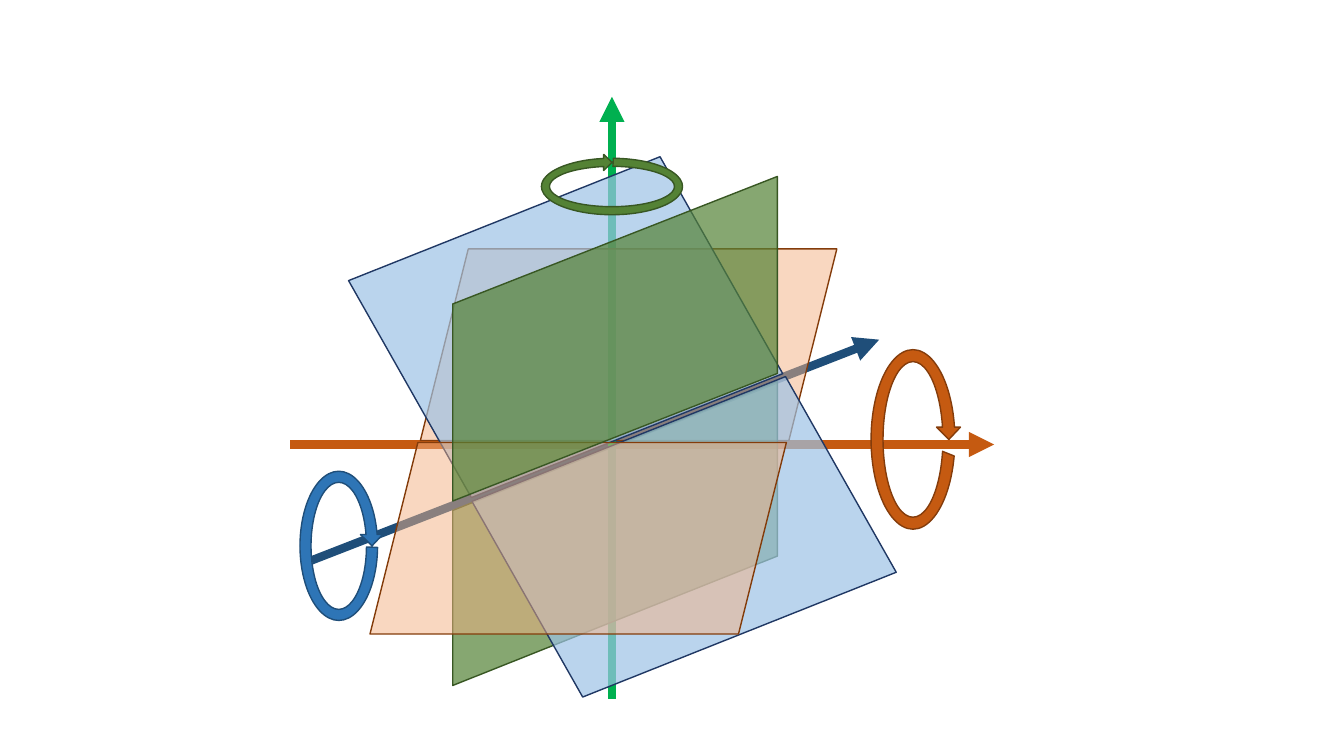
"""Draw three axes with rotation arrows and the tilted planes between them."""
from dataclasses import dataclass

from lxml.etree import SubElement
from pptx import Presentation
from pptx.dml.color import RGBColor
from pptx.enum.shapes import MSO_CONNECTOR, MSO_SHAPE
from pptx.oxml.ns import qn
from pptx.util import Inches, Pt


@dataclass(frozen=True)
class Paint:
    """Fill, outline and opacity in percent."""
    fill: str
    line: str
    opacity: int = 100


@dataclass(frozen=True)
class Theme:
    """Colours and line widths of the slide."""
    x_axis: str = "C55A11"
    y_axis: str = "00B050"
    z_axis: str = "1F4E79"
    x_turn: Paint = Paint("C55A11", "843C0B")
    y_turn: Paint = Paint("548235", "385723")
    z_turn: Paint = Paint("2E75B6", "1F4E79")
    orange_plane: Paint = Paint("F4B183", "843C0B", 50)
    blue_plane: Paint = Paint("9DC3E6", "203864", 70)
    green_plane: Paint = Paint("548235", "385723", 70)
    axis_width: int = 6
    outline_width: int = 1


THEME = Theme()


def add_axis(shapes, start, end, color):
    """Add a thick axis with a triangular head at its end."""
    axis = shapes.add_connector(
        MSO_CONNECTOR.STRAIGHT, *(Inches(value) for value in start + end))
    axis.line.color.rgb = RGBColor.from_string(color)
    axis.line.width = Pt(THEME.axis_width)
    SubElement(axis.line._get_or_add_ln(), qn("a:tailEnd"), type="triangle")
    SubElement(axis._element.spPr, qn("a:effectLst"))


def add_painted(shapes, kind, box, paint, adjustments=(), rotation=0):
    """Add a preset shape with its paint, adjustments and rotation."""
    shape = shapes.add_shape(kind, *(Inches(value) for value in box))
    for index, value in enumerate(adjustments):
        shape.adjustments[index] = value
    shape.rotation = rotation
    shape.shadow.inherit = False
    shape.fill.solid()
    shape.fill.fore_color.rgb = RGBColor.from_string(paint.fill)
    if paint.opacity < 100:
        color = shape._element.spPr.find(qn("a:solidFill"))[0]
        SubElement(color, qn("a:alpha"), val=str(paint.opacity * 1000))
    shape.line.color.rgb = RGBColor.from_string(paint.line)
    shape.line.width = Pt(THEME.outline_width)
    return shape


def add_plane(shapes, box, paint, slant=0.25, rotation=0):
    """Add a parallelogram, mirrored vertically when it is rotated."""
    plane = add_painted(
        shapes, MSO_SHAPE.PARALLELOGRAM, box, paint, (slant,), rotation)
    if rotation:
        plane._element.spPr.get_or_add_xfrm().set("flipV", "1")


def add_turn(shapes, box, paint, start_angle, rotation=0):
    """Add a circular arrow that shows the turn around an axis."""
    adjustments = (0.125, 11.423, 204.577, start_angle, 0.125)
    add_painted(
        shapes, MSO_SHAPE.CIRCULAR_ARROW, box, paint, adjustments, rotation)


def main():
    """Build and save the slide."""
    presentation = Presentation()
    presentation.slide_width = Inches(13.33)
    presentation.slide_height = Inches(7.5)
    slide = presentation.slides.add_slide(presentation.slide_layouts[6])
    shapes = slide.shapes.add_group_shape().shapes

    add_axis(shapes, (2.88, 4.41), (9.86, 4.41), THEME.x_axis)
    add_axis(shapes, (3.09, 5.56), (8.72, 3.37), THEME.z_axis)
    add_axis(shapes, (6.07, 6.93), (6.07, 0.96), THEME.y_axis)

    add_turn(shapes, (2.92, 4.62, 0.88, 1.59), THEME.z_turn, 1.438)
    add_plane(shapes, (4.17, 2.47, 4.13, 1.9), THEME.orange_plane)
    add_plane(shapes, (3.78, 2.02, 3.66, 2.45), THEME.blue_plane, 0.137, 158.3)
    add_turn(shapes, (8.58, 3.41, 0.95, 1.9), THEME.x_turn, 13.156)
    add_plane(shapes, (4.59, 3.68, 3.02, 3.22), THEME.green_plane, 0.425, 90)
    add_plane(shapes, (4.96, 4.22, 3.65, 2.21), THEME.blue_plane, 0.137, 158.3)
    add_plane(shapes, (3.67, 4.39, 4.13, 1.9), THEME.orange_plane)
    add_plane(shapes, (4.49, 1.75, 3.22, 3.22), THEME.green_plane, 0.393, 90)
    add_turn(shapes, (5.75, 1.11, 0.64, 1.48), THEME.y_turn, 1.659, 270)

    presentation.save("out.pptx")


if __name__ == "__main__":
    main()
